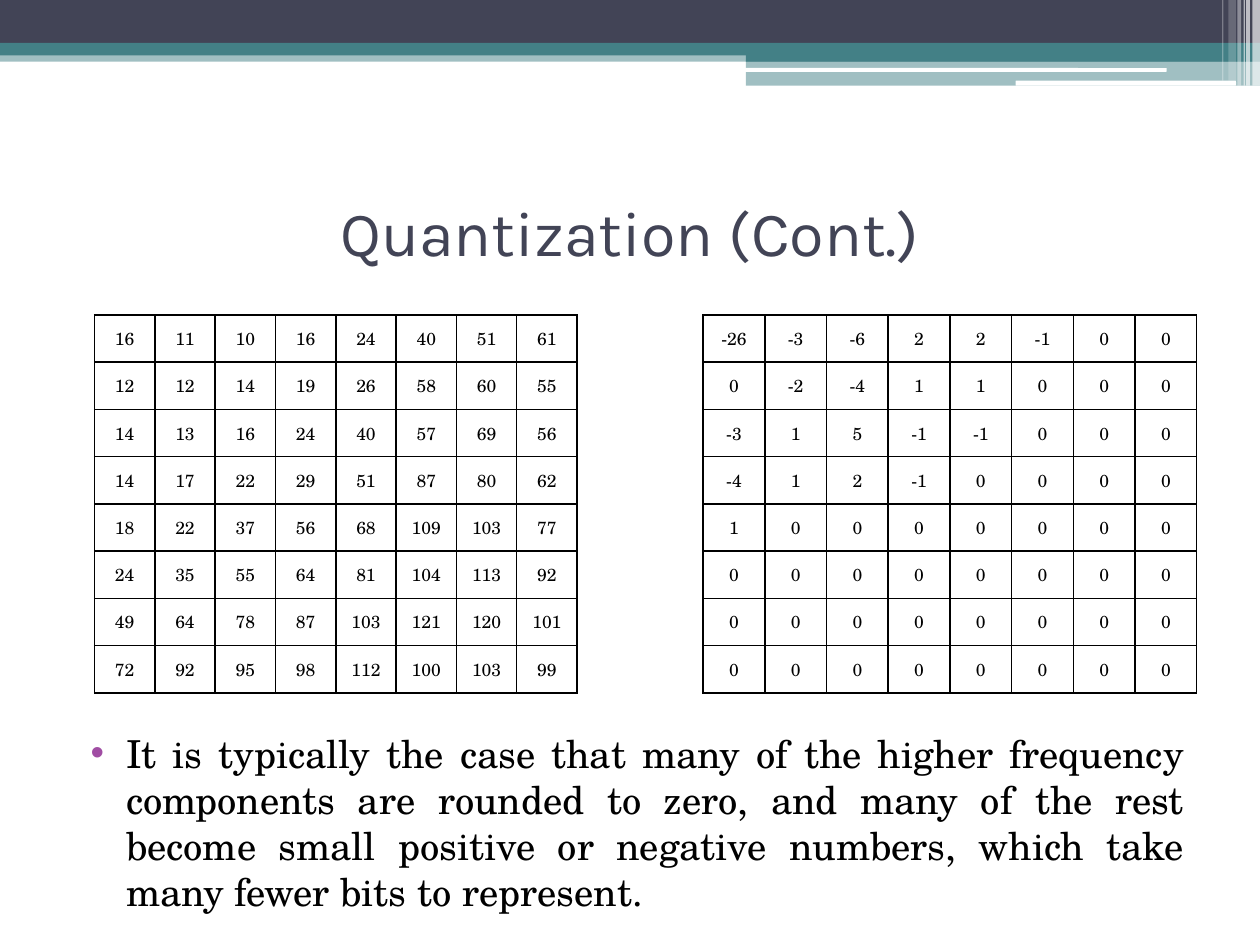
"""Build the quantization slide with two coefficient tables."""
from dataclasses import dataclass

from lxml import etree
from pptx import Presentation
from pptx import util as u
from pptx.dml.color import RGBColor
from pptx.enum import shapes, text
from pptx.oxml import ns


@dataclass(frozen=True)
class Theme:
    navy: str = "424456"
    teal: str = "438086"
    white: str = "FFFFFF"
    black: str = "000000"
    bullet: str = "A04DA3"
    title_font: str = "Karla"
    body_font: str = "TeX Gyre Schola"
    title_size: int = 36
    body_size: int = 22
    cell_size: int = 10
    border: int = 1


THEME = Theme()

RECT = shapes.MSO_SHAPE.RECTANGLE
ROUND = shapes.MSO_SHAPE.ROUNDED_RECTANGLE

BANDS = [
    (RECT, 0, 0.4, 10, 0.09, THEME.teal, 50),
    (RECT, 0, 0, 10, 0.34, THEME.navy, 100),
    (RECT, 0, 0.34, 10, 0.1, THEME.teal, 100),
    (RECT, 5.92, 0.39, 4.08, 0.1, THEME.teal, 100),
    (RECT, 5.92, 0.48, 4.08, 0.2, THEME.teal, 50),
    (ROUND, 5.91, 0.54, 3.35, 0.03, THEME.white, 100),
    (ROUND, 8.06, 0.64, 1.75, 0.04, THEME.white, 100),
    (RECT, 9.94, 0, 0.06, 0.68, THEME.white, 65),
    (RECT, 9.89, 0, 0.03, 0.68, THEME.white, 65),
    (RECT, 9.87, 0, 0.01, 0.68, THEME.white, 60),
    (RECT, 9.82, 0, 0.03, 0.68, THEME.white, 40),
    (RECT, 9.75, 0, 0.06, 0.64, THEME.white, 20),
    (RECT, 9.7, 0, 0.01, 0.64, THEME.white, 30),
]

QUANTIZATION = [
    [16, 11, 10, 16, 24, 40, 51, 61],
    [12, 12, 14, 19, 26, 58, 60, 55],
    [14, 13, 16, 24, 40, 57, 69, 56],
    [14, 17, 22, 29, 51, 87, 80, 62],
    [18, 22, 37, 56, 68, 109, 103, 77],
    [24, 35, 55, 64, 81, 104, 113, 92],
    [49, 64, 78, 87, 103, 121, 120, 101],
    [72, 92, 95, 98, 112, 100, 103, 99],
]

COEFFICIENTS = [
    [-26, -3, -6, 2, 2, -1, 0, 0],
    [0, -2, -4, 1, 1, 0, 0, 0],
    [-3, 1, 5, -1, -1, 0, 0, 0],
    [-4, 1, 2, -1, 0, 0, 0, 0],
    [1] + [0] * 7,
] + [[0] * 8] * 3

TITLE = "Quantization (Cont.)"
BODY = (
    "It is typically the case that many of the higher frequency components "
    "are rounded to zero, and many of the rest become small positive or "
    "negative numbers, which take many fewer bits to represent."
)


def add_xml(parent, tag, **attrs):
    """Append an element with the given attributes and return it."""
    return etree.SubElement(parent, ns.qn(tag), attrs)


def place(sp, *box):
    """Move and size a shape, in inches."""
    sp.left, sp.top, sp.width, sp.height = map(u.Inches, box)


def set_font(p, name, size, color):
    """Format the whole paragraph."""
    p.font.name = name
    p.font.size = u.Pt(size)
    p.font.color.rgb = RGBColor.from_string(color)


def add_band(s, kind, left, top, width, height, color, opacity):
    """Draw one borderless band of the header."""
    sp = s.shapes.add_shape(kind, *map(u.Inches, (left, top, width, height)))
    sp.shadow.inherit = False
    sp.line.fill.background()
    sp.fill.solid()
    sp.fill.fore_color.rgb = RGBColor.from_string(color)
    if opacity < 100:
        clr = sp.fill._xPr.find(".//" + ns.qn("a:srgbClr"))
        add_xml(clr, "a:alpha", val=str(opacity * 1000))


def fill_placeholder(sp, content, anchor, align):
    """Put one paragraph in a placeholder and return it."""
    tf = sp.text_frame
    tf.text = content
    tf.word_wrap = True
    tf.auto_size = text.MSO_AUTO_SIZE.NONE
    tf.vertical_anchor = anchor
    p = tf.paragraphs[0]
    p.alignment = align
    return p


def add_title(s):
    """Fill the title placeholder."""
    sp = s.shapes.title
    place(sp, 0.5, 1.25, 9, 1.17)
    p = fill_placeholder(sp, TITLE, text.MSO_ANCHOR.MIDDLE, text.PP_ALIGN.CENTER)
    set_font(p, THEME.title_font, THEME.title_size, THEME.navy)


def add_body(s):
    """Fill the body placeholder with the bulleted remark."""
    sp = s.placeholders[1]
    place(sp, 0.5, 5.74, 9, 1.59)
    p = fill_placeholder(sp, BODY, text.MSO_ANCHOR.TOP, text.PP_ALIGN.JUSTIFY)
    pPr = p._p.get_or_add_pPr()
    pPr.set("marL", str(u.Inches(0.4)))
    pPr.set("indent", str(u.Inches(-0.28)))
    add_xml(add_xml(pPr, "a:buClr"), "a:srgbClr", val=THEME.bullet)
    add_xml(pPr, "a:buFont", typeface="Arial")
    add_xml(pPr, "a:buChar", char="•")
    p.space_before = u.Pt(0)
    set_font(p, THEME.body_font, THEME.body_size, THEME.black)


def format_cell(cell, value):
    """Write a centred number in a bordered, unfilled cell."""
    cell.text = str(value)
    cell.margin_left = cell.margin_right = cell.margin_top = cell.margin_bottom = 0
    cell.vertical_anchor = text.MSO_ANCHOR.MIDDLE
    p = cell.text_frame.paragraphs[0]
    p.alignment = text.PP_ALIGN.CENTER
    set_font(p, THEME.body_font, THEME.cell_size, THEME.black)
    tcPr = cell._tc.get_or_add_tcPr()
    for side in "LRTB":
        ln = add_xml(tcPr, "a:ln" + side, w=str(u.Pt(THEME.border)))
        add_xml(add_xml(ln, "a:solidFill"), "a:srgbClr", val=THEME.black)
    cell.fill.background()


def add_matrix(s, values, left, width):
    """Add a table of equal cells for a matrix."""
    n_rows, n_cols = len(values), len(values[0])
    box = map(u.Inches, (left, 2.5, width, 3))
    table = s.shapes.add_table(n_rows, n_cols, *box).table
    table.first_row = table.horz_banding = False
    for r, row in enumerate(values):
        for c, value in enumerate(row):
            format_cell(table.cell(r, c), value)


def main():
    """Build and save the slide."""
    prs = Presentation()
    prs.slide_width, prs.slide_height = u.Inches(10), u.Inches(7.5)
    s = prs.slides.add_slide(prs.slide_layouts[1])
    for band in BANDS:
        add_band(s, *band)
    add_title(s)
    add_body(s)
    add_matrix(s, QUANTIZATION, 0.75, 3.83)
    add_matrix(s, COEFFICIENTS, 5.58, 3.92)
    prs.save("out.pptx")


if __name__ == "__main__":
    main()
